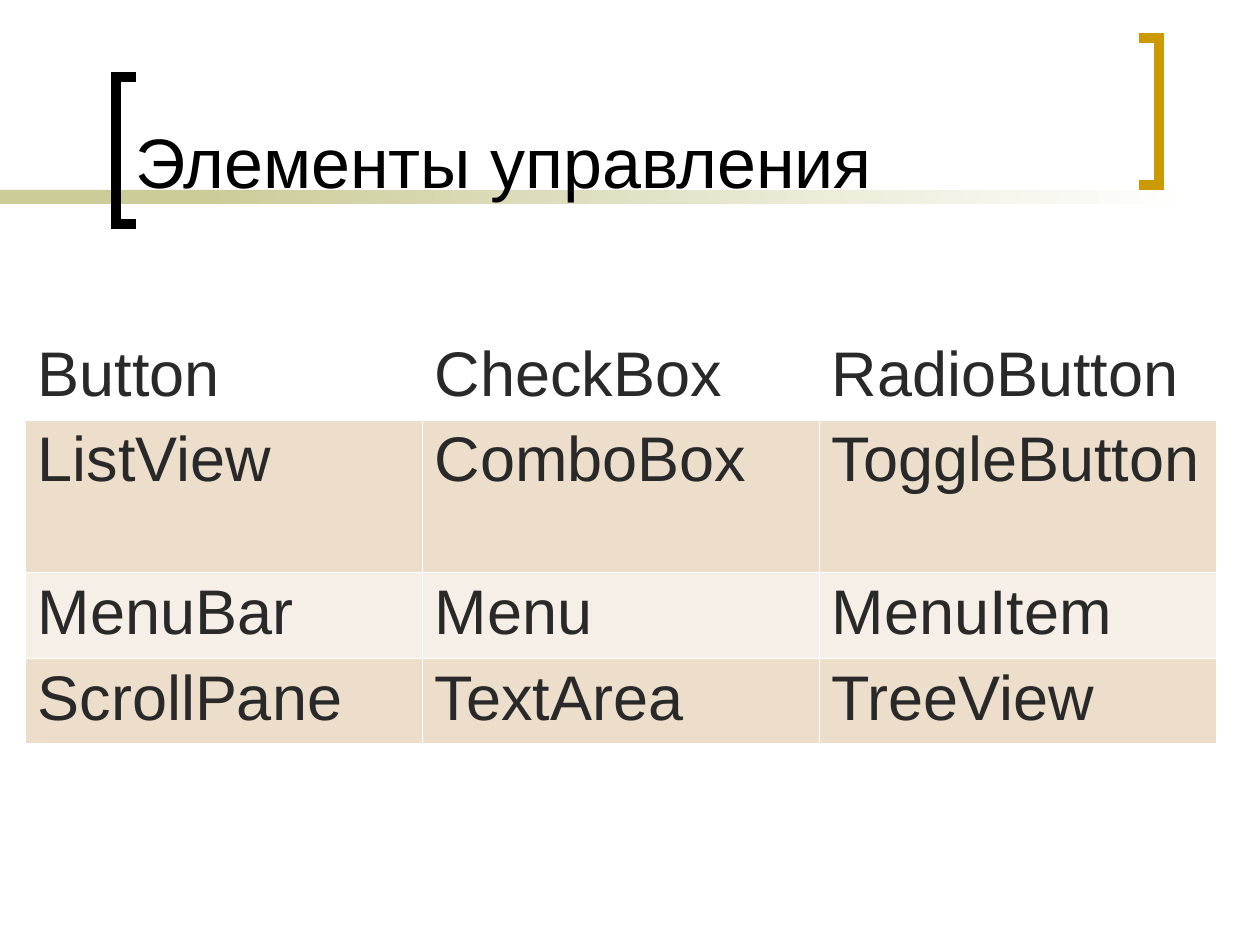
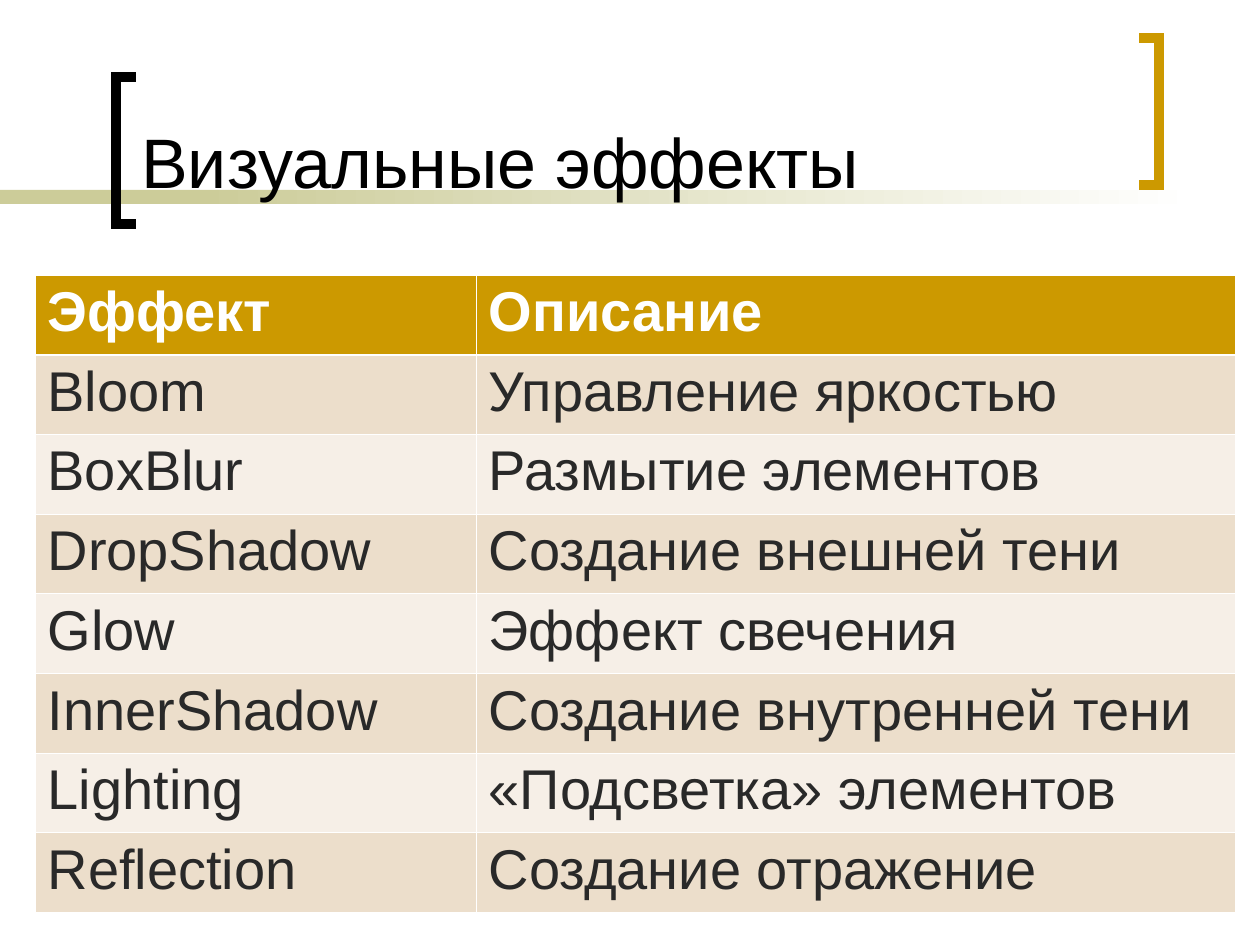
from lxml import etree
from pptx import Presentation
from pptx.dml.color import RGBColor
from pptx.enum.shapes import MSO_SHAPE
from pptx.enum.text import MSO_ANCHOR
from pptx.oxml.ns import qn
from pptx.util import Emu, Pt

RECTANGLE = MSO_SHAPE.RECTANGLE
BOTTOM = MSO_ANCHOR.BOTTOM
SCALE = 914400 / 126
FONT = "Arial"
COLORS = {
    "white": "FFFFFF",
    "black": "000000",
    "text": "292929",
    "gold": "CC9900",
    "olive": "CCCC99",
    "dark_band": "ECDECB",
    "light_band": "F6EFE7",
}
THIN, THICK = 0.45, 1.47
CONTROLS = [
    ["Button", "CheckBox", "RadioButton"],
    ["ListView", "ComboBox", "ToggleButton"],
    ["MenuBar", "Menu", "MenuItem"],
    ["ScrollPane", "TextArea", "TreeView"],
]
EFFECTS = [
    ["Эффект", "Описание"],
    ["Bloom", "Управление яркостью"],
    ["BoxBlur", "Размытие элементов"],
    ["DropShadow", "Создание внешней тени"],
    ["Glow", "Эффект свечения"],
    ["InnerShadow", "Создание внутренней тени"],
    ["Lighting", "«Подсветка» элементов"],
    ["Reflection", "Создание отражение"],
]


def px(length):
    return Emu(round(length * SCALE))


def rgb(name):
    return RGBColor.from_string(COLORS[name])


def paint(fill, color):
    fill.solid()
    fill.fore_color.rgb = rgb(color)


def format_text(frame, size, color, bold=False):
    for para in frame.paragraphs:
        for span in para.runs:
            span.font.name = FONT
            span.font.size = Pt(size)
            span.font.bold = bold
            span.font.color.rgb = rgb(color)


def add_strip(page, left, width):
    strip = page.shapes.add_shape(RECTANGLE, px(left), px(190), px(width), px(14))
    strip.shadow.inherit = False
    strip.line.fill.background()
    return strip


def add_bracket(page, spine, tip, top, color):
    bottom = top + 147
    builder = page.shapes.build_freeform(tip, top, scale=SCALE)
    builder.add_line_segments([(spine, top), (spine, bottom), (tip, bottom)], close=False)
    bracket = builder.convert_to_shape()
    bracket.shadow.inherit = False
    bracket.fill.background()
    bracket.line.width = Pt(6)
    bracket.line.color.rgb = rgb(color)
    line = bracket.line._get_or_add_ln()
    etree.SubElement(line, qn("a:miter"), lim="800000")


def add_title(page, text, left, width):
    box = page.shapes.add_textbox(px(left), px(14), px(width), px(195))
    frame = box.text_frame
    frame.word_wrap = True
    frame.vertical_anchor = BOTTOM
    frame.text = text
    format_text(frame, 40, "black")


def add_page(deck, title, left, width):
    page = deck.slides.add_slide(deck.slide_layouts[6])
    paint(add_strip(page, 0, 294).fill, "olive")
    fade = add_strip(page, 199, 998).fill
    fade.gradient()
    fade.gradient_angle = 0
    for stop, position, color in zip(fade.gradient_stops, (0, 1), ("olive", "white")):
        stop.position = position
        stop.color.rgb = rgb(color)
    add_bracket(page, 116, 136, 77, "black")
    add_bracket(page, 1159, 1139, 38, "gold")
    add_title(page, title, left, width)
    return page


def set_borders(cell, row):
    widths = {
        "a:lnL": THIN,
        "a:lnR": THIN,
        "a:lnT": THICK if row == 1 else THIN,
        "a:lnB": THICK if row == 0 else THIN,
    }
    properties = cell._tc.get_or_add_tcPr()
    for tag, width in widths.items():
        line = etree.SubElement(properties, qn(tag), w=str(Pt(width)))
        fill = etree.SubElement(line, qn("a:solidFill"))
        etree.SubElement(fill, qn("a:srgbClr"), val=COLORS["white"])


def add_grid(page, rows, left, top, widths, heights, size, margin, first_row):
    table = page.shapes.add_table(
        len(rows), len(widths), px(left), px(top), px(sum(widths)), px(sum(heights))
    ).table
    table.first_row = False
    table.horz_banding = False
    for column, width in zip(table.columns, widths):
        column.width = px(width)
    for row, (texts, height) in enumerate(zip(rows, heights)):
        table.rows[row].height = px(height)
        band = "dark_band" if row % 2 else "light_band"
        fill, color, bold = first_row if row == 0 else (band, "text", False)
        for column, text in enumerate(texts):
            cell = table.cell(row, column)
            cell.margin_top = cell.margin_bottom = px(margin)
            set_borders(cell, row)
            paint(cell.fill, fill)
            cell.text_frame.text = text
            format_text(cell.text_frame, size, color, bold)


def even_split(total, count):
    edges = [round(total * index / count) for index in range(count + 1)]
    return [end - start for start, end in zip(edges, edges[1:])]


def main():
    deck = Presentation()
    deck.slide_width = px(1260)
    deck.slide_height = px(945)

    page = add_page(deck, "Элементы управления", 123, 1052)
    add_grid(page, CONTROLS, 25, 334, [397] * 3, [84, 153, 83, 83], 36, 5,
             ("white", "text", False))

    page = add_page(deck, "Визуальные эффекты", 129, 987)
    add_grid(page, EFFECTS, 35, 275, [441, 759], even_split(637, len(EFFECTS)), 32, 6,
             ("gold", "white", True))

    deck.save("out.pptx")


if __name__ == "__main__":
    main()
